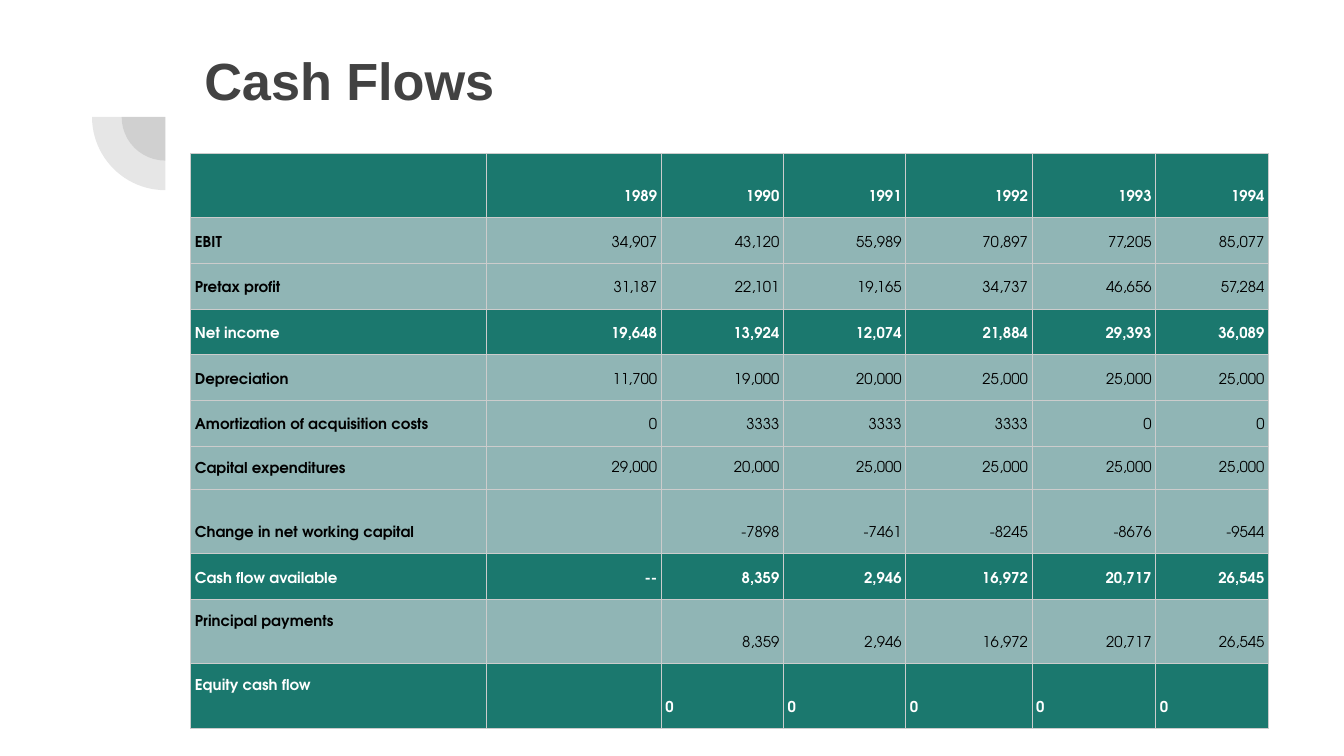
from lxml import etree
from pptx import Presentation
from pptx.dml.color import RGBColor
from pptx.enum.shapes import MSO_SHAPE as Shape
from pptx.enum.text import MSO_ANCHOR as Anchor, MSO_AUTO_SIZE as AutoSize, PP_ALIGN as Align
from pptx.oxml import parse_xml
from pptx.oxml.ns import nsdecls, qn
from pptx.util import Inches, Pt

COLORS = {"dark": "1B786E", "light": "90B5B5", "border": "CCCCCC",
          "grey": "424242", "white": "FFFFFF", "black": "000000"}


def write(frame, text, font, size, color, bold=True, align=Align.LEFT, spacing=1.0):
    para = frame.paragraphs[0]
    para.alignment = align
    para.line_spacing = spacing
    span = para.add_run()
    span.text = text
    span.font.name = font
    span.font.size = Pt(size)
    span.font.bold = bold
    span.font.color.rgb = RGBColor.from_string(COLORS[color])


def add_borders(cell):
    properties = cell._tc.get_or_add_tcPr()
    for position, side in enumerate(("lnL", "lnR", "lnT", "lnB")):
        line = parse_xml(
            f'<a:{side} {nsdecls("a")} w="{Pt(0.6)}"><a:solidFill>'
            f'<a:srgbClr val="{COLORS["border"]}"/></a:solidFill></a:{side}>')
        properties.insert(position, line)


deck = Presentation()
deck.slide_width = Inches(10)
deck.slide_height = deck.slide_width * 9 // 16
page = deck.slides.add_slide(deck.slide_layouts[5])

center_x, center_y = 1.23, 0.87
for diameter in (0.65, 1.09):
    pie = page.shapes.add_shape(
        Shape.PIE, Inches(center_x - diameter / 2), Inches(center_y - diameter / 2),
        Inches(diameter), Inches(diameter))
    pie.adjustments[0], pie.adjustments[1] = 108, 162
    pie.rotation = 270
    pie.shadow.inherit = False
    pie.line.fill.background()
    pie.fill.solid()
    pie.fill.fore_color.rgb = RGBColor.from_string(COLORS["grey"])
    color_node = pie._element.spPr.find(qn("a:solidFill"))[0]
    etree.SubElement(color_node, qn("a:alpha"), val="13000")

rows = [
    ("", "1989", "1990", "1991", "1992", "1993", "1994"),
    ("EBIT", "34,907", "43,120", "55,989", "70,897", "77,205", "85,077"),
    ("Pretax profit", "31,187", "22,101", "19,165", "34,737", "46,656", "57,284"),
    ("Net income", "19,648", "13,924", "12,074", "21,884", "29,393", "36,089"),
    ("Depreciation", "11,700", "19,000", "20,000", "25,000", "25,000", "25,000"),
    ("Amortization of acquisition costs", "0", "3333", "3333", "3333", "0", "0"),
    ("Capital expenditures", "29,000", "20,000", "25,000", "25,000", "25,000", "25,000"),
    ("Change in net working capital", "", "-7898", "-7461", "-8245", "-8676", "-9544"),
    ("Cash flow available", "--", "8,359", "2,946", "16,972", "20,717", "26,545"),
    ("Principal payments", "", "8,359", "2,946", "16,972", "20,717", "26,545"),
    ("Equity cash flow", "", "0", "0", "0", "0", "0"),
]
widths = [2.2, 1.3, 0.91, 0.91, 0.94, 0.92, 0.84]
heights = [0.48 if "" in row else 0.34 for row in rows]
heights[6] = 0.32
dark_rows = {0, 3, 8, 10}
top_label_rows = {9, 10}
equity_row = 10

table = page.shapes.add_table(
    len(rows), len(widths), Inches(1.42), Inches(1.14),
    Inches(sum(widths)), Inches(sum(heights))).table
table.first_row = table.horz_banding = False
for column, width in zip(table.columns, widths):
    column.width = Inches(width)

for row_index, values in enumerate(rows):
    table.rows[row_index].height = Inches(heights[row_index])
    dark = row_index in dark_rows
    for column_index, value in enumerate(values):
        cell = table.cell(row_index, column_index)
        is_label = column_index == 0
        cell.fill.solid()
        cell.fill.fore_color.rgb = RGBColor.from_string(COLORS["dark" if dark else "light"])
        add_borders(cell)
        if not value:
            continue
        cell.margin_left = cell.margin_right = Inches(0.03)
        cell.margin_top = cell.margin_bottom = Inches(0.1)
        top = is_label and row_index in top_label_rows
        cell.vertical_anchor = Anchor.TOP if top else Anchor.BOTTOM
        left = is_label or row_index == equity_row
        write(cell.text_frame, value, "TeX Gyre Adventor", 8,
              "white" if dark else "black", bold=dark or is_label,
              align=Align.LEFT if left else Align.RIGHT, spacing=1.15)

title = page.shapes.title
title.left, title.top = Inches(1.42), Inches(0.26)
title.width, title.height = Inches(2.72), Inches(0.79)
frame = title.text_frame
frame.word_wrap = True
frame.auto_size = AutoSize.NONE
frame.vertical_anchor = Anchor.TOP
frame.margin_left = frame.margin_right = frame.margin_top = frame.margin_bottom = Inches(0.1)
write(frame, "Cash Flows", "Arial", 28, "grey")

deck.save("out.pptx")
